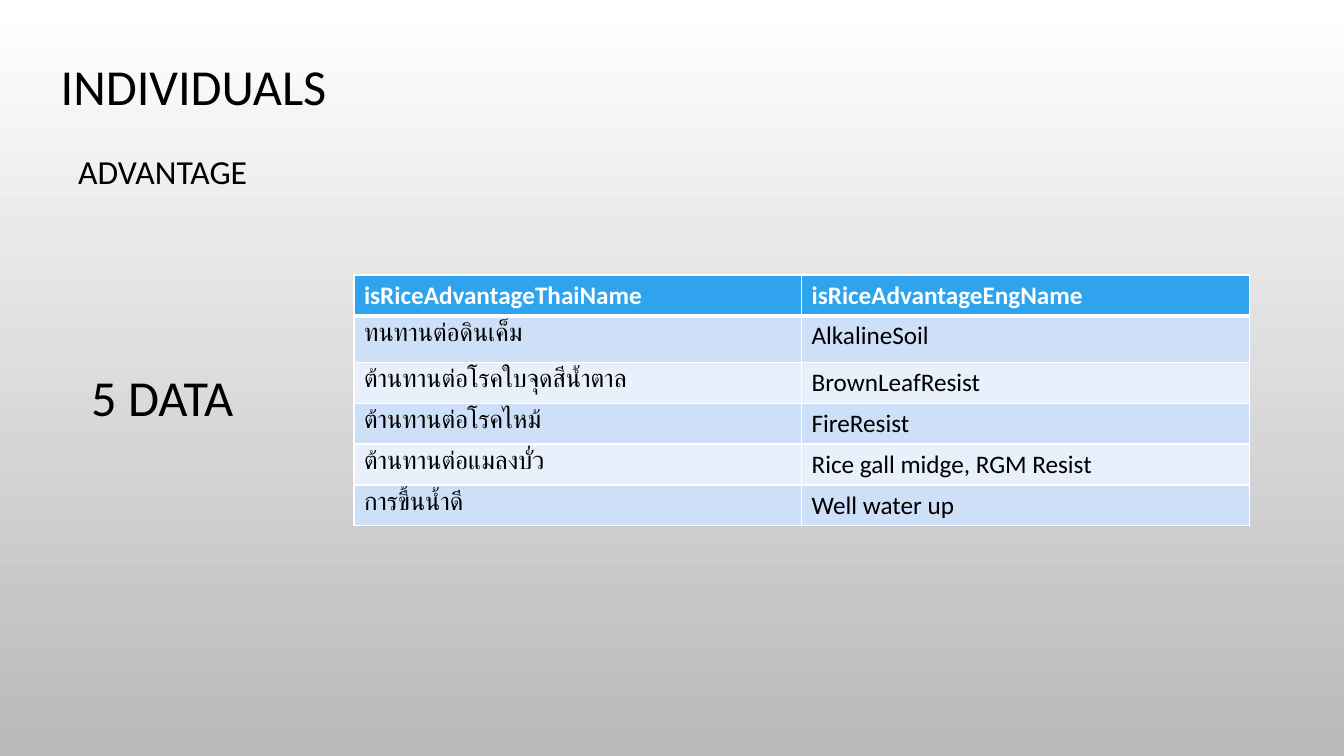
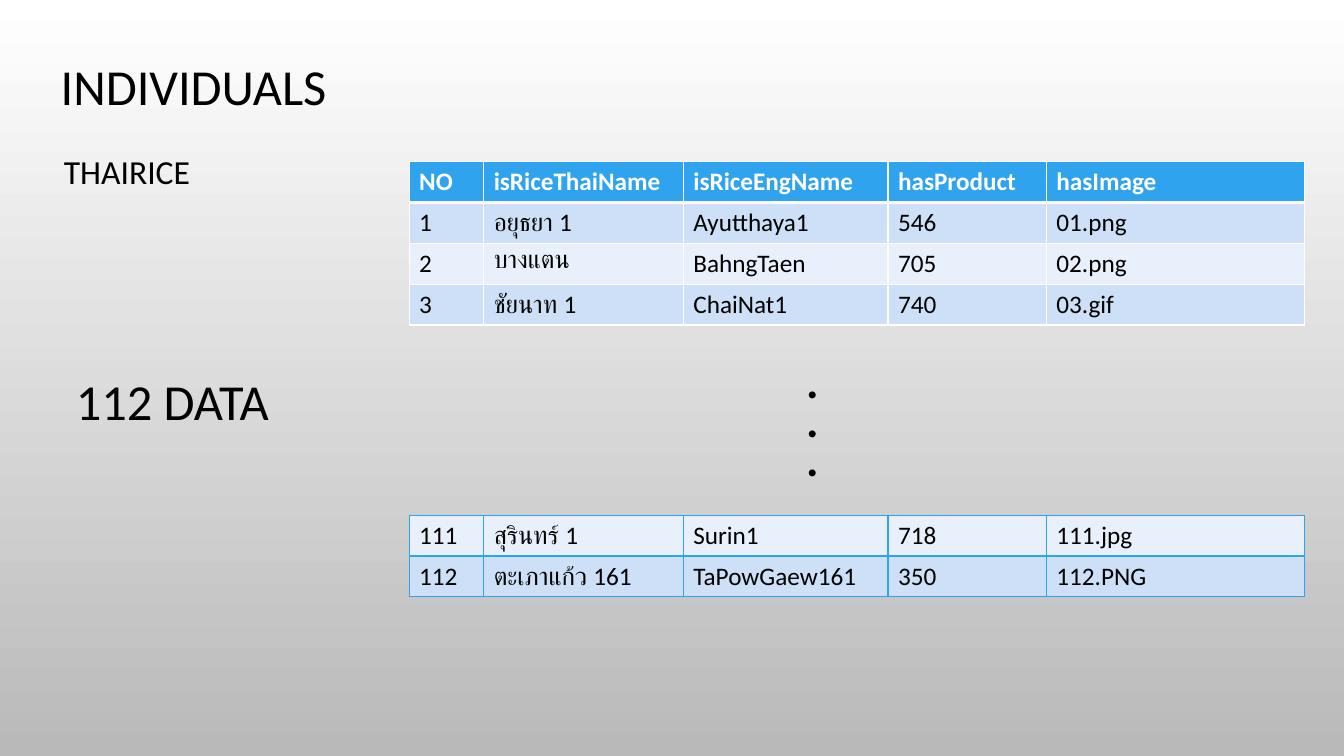
from dataclasses import dataclass

from lxml.etree import Element, SubElement
from pptx import Presentation
from pptx.dml.color import RGBColor
from pptx.enum.text import MSO_ANCHOR, MSO_AUTO_SIZE, PP_ALIGN
from pptx.oxml.ns import qn
from pptx.util import Cm, Pt


@dataclass(frozen=True)
class Theme:
    font: str = "Calibri"
    black: str = "000000"
    white: str = "FFFFFF"
    gray: str = "B9B9B9"
    blue: str = "2FA3EE"
    band: str = "CDE0F8"
    light_band: str = "E8F0FC"
    title_size: float = 36
    dots_size: float = 33.3
    subtitle_size: float = 24
    table_size: float = 18
    thin: float = 1
    thick: float = 3


theme = Theme()


def write_label(shape, place, lines, size, bold=False, spacing=0.9):
    shape.left, shape.top, shape.width, shape.height = map(Cm, place)
    frame = shape.text_frame
    frame.word_wrap = True
    frame.auto_size = MSO_AUTO_SIZE.NONE
    frame.vertical_anchor = MSO_ANCHOR.MIDDLE
    frame.text = "\n".join(lines)
    for paragraph in frame.paragraphs:
        paragraph.alignment = PP_ALIGN.CENTER
        paragraph.line_spacing = spacing
        paragraph.font.name = theme.font
        paragraph.font.size = Pt(size)
        paragraph.font.bold = bold
        paragraph.font.color.rgb = RGBColor.from_string(theme.black)


def add_grid(slide, left, top, widths, heights, rows, fills, border, header):
    table = slide.shapes.add_table(
        len(rows), len(widths), Cm(left), Cm(top), Cm(sum(widths)), Cm(sum(heights))
    ).table
    table.first_row = header
    table.horz_banding = False
    for column, width in zip(table.columns, widths):
        column.width = Cm(width)
    for row_index, values in enumerate(rows):
        table.rows[row_index].height = Cm(heights[row_index])
        is_header = header and row_index == 0
        edges = {
            "a:lnL": theme.thin,
            "a:lnR": theme.thin,
            "a:lnT": theme.thick if header and row_index == 1 else theme.thin,
            "a:lnB": theme.thick if is_header else theme.thin,
        }
        for column_index, value in enumerate(values):
            cell = table.cell(row_index, column_index)
            cell.text = value
            cell.fill.solid()
            cell.fill.fore_color.rgb = RGBColor.from_string(fills[row_index])
            font = cell.text_frame.paragraphs[0].font
            font.name = theme.font
            font.size = Pt(theme.table_size)
            font.bold = is_header
            font.color.rgb = RGBColor.from_string(theme.white if is_header else theme.black)
            properties = cell._tc.get_or_add_tcPr()
            for position, (tag, width) in enumerate(edges.items()):
                line = Element(qn(tag), w=str(Pt(width)))
                SubElement(SubElement(line, qn("a:solidFill")), qn("a:srgbClr"), val=border)
                properties.insert(position, line)


presentation = Presentation()
presentation.slide_width = Cm(33.87)
presentation.slide_height = Cm(19.05)

background = presentation.slide_master.background.fill
background.gradient()
background.gradient_angle = 270
for stop, color in zip(background.gradient_stops, (theme.white, theme.gray)):
    stop.color.rgb = RGBColor.from_string(color)

row_height = 1.03
rice_widths = [1.88, 5.03, 5.16, 3.99, 6.5]
rice_left = 10.31
bands = [theme.band, theme.light_band]

slide_contents = [
    {
        "subtitle": ("ADVANTAGE", (1.32, 3.4, 5.56, 1.93)),
        "count": ("5 DATA", (0.05, 8.92, 8.08, 2.31)),
        "grids": [
            {
                "left": 8.92,
                "top": 6.93,
                "widths": [11.28] * 2,
                "heights": [row_height, 1.17] + [row_height] * 4,
                "rows": [
                    ("isRiceAdvantageThaiName", "isRiceAdvantageEngName"),
                    ("ทนทานต่อดินเค็ม", "AlkalineSoil"),
                    ("ต้านทานต่อโรคใบจุดสีน้ำตาล", "BrownLeafResist"),
                    ("ต้านทานต่อโรคไหม้", "FireResist"),
                    ("ต้านทานต่อแมลงบั่ว", "Rice gall midge, RGM Resist"),
                    ("การขึ้นน้ำดี", "Well water up"),
                ],
                "fills": [theme.blue] + bands * 2 + bands[:1],
                "border": theme.white,
                "header": True,
            },
        ],
        "dots": None,
    },
    {
        "subtitle": ("THAIRICE", (1.32, 3.4, 3.76, 1.93)),
        "count": ("112 DATA", (1.32, 9.02, 6.05, 2.31)),
        "grids": [
            {
                "left": rice_left,
                "top": 4.07,
                "widths": rice_widths,
                "heights": [row_height] * 4,
                "rows": [
                    ("NO", "isRiceThaiName", "isRiceEngName", "hasProduct", "hasImage"),
                    ("1", "อยุธยา 1", "Ayutthaya1", "546", "01.png"),
                    ("2", "บางแตน", "BahngTaen", "705", "02.png"),
                    ("3", "ชัยนาท 1", "ChaiNat1", "740", "03.gif"),
                ],
                "fills": [theme.blue] + bands + bands[:1],
                "border": theme.white,
                "header": True,
            },
            {
                "left": rice_left,
                "top": 12.98,
                "widths": rice_widths,
                "heights": [row_height] * 2,
                "rows": [
                    ("111", "สุรินทร์ 1", "Surin1", "718", "111.jpg"),
                    ("112", "ตะเภาแก้ว 161", "TaPowGaew161", "350", "112.PNG"),
                ],
                "fills": bands[::-1],
                "border": theme.blue,
                "header": False,
            },
        ],
        "dots": (17.45, 9.02, 6.05, 3.43),
    },
]

for content in slide_contents:
    slide = presentation.slides.add_slide(presentation.slide_layouts[5])
    write_label(slide.shapes.title, (0.84, 1.09, 8.08, 2.31), ["INDIVIDUALS"], theme.title_size)
    for name, size in (("subtitle", theme.subtitle_size), ("count", theme.title_size)):
        text, place = content[name]
        write_label(slide.shapes.add_textbox(0, 0, 0, 0), place, [text], size)
    for grid in content["grids"]:
        add_grid(slide, **grid)
    if content["dots"]:
        dots = slide.shapes.add_textbox(0, 0, 0, 0)
        write_label(dots, content["dots"], ["."] * 3, theme.dots_size, bold=True, spacing=0.7)

presentation.save("out.pptx")
